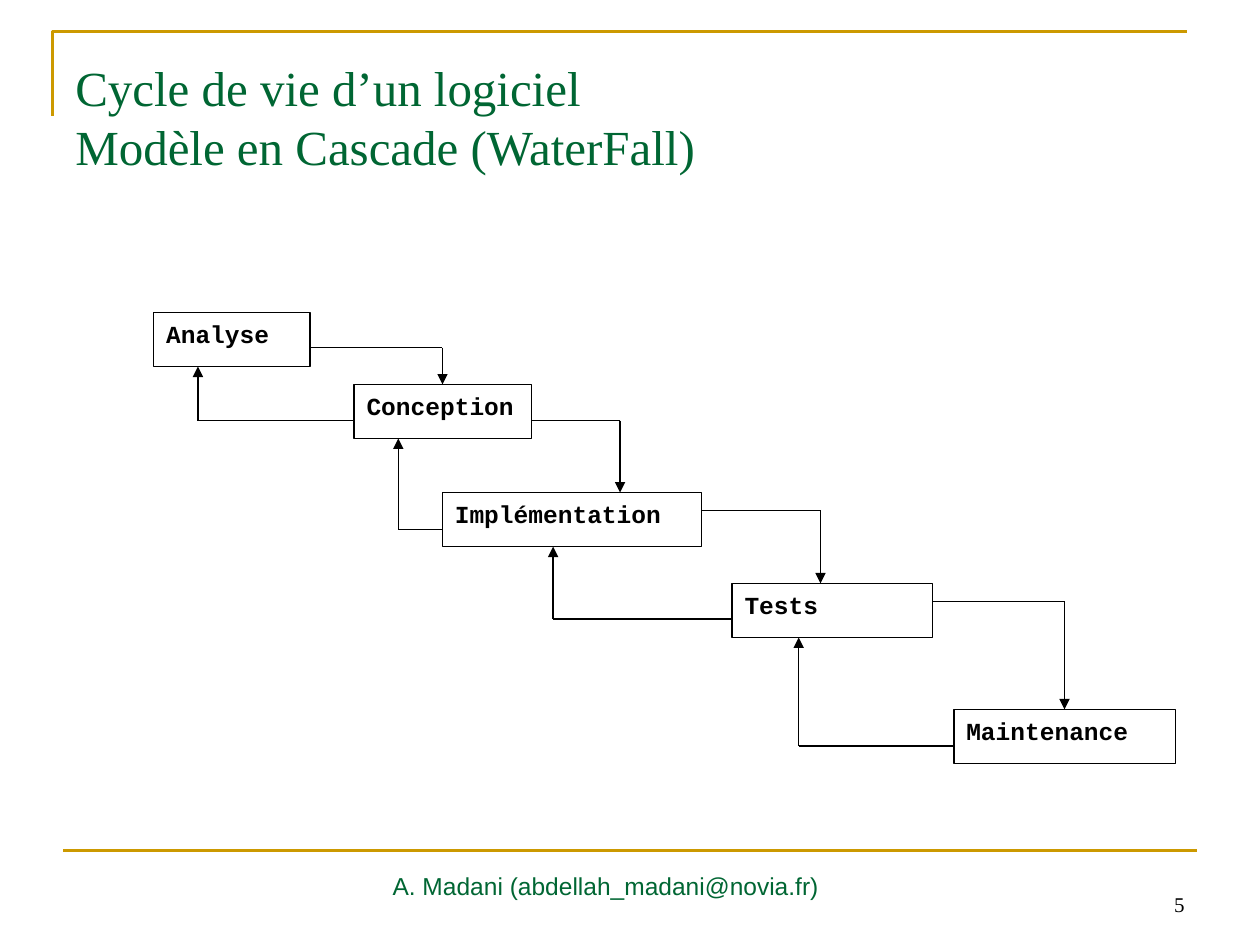
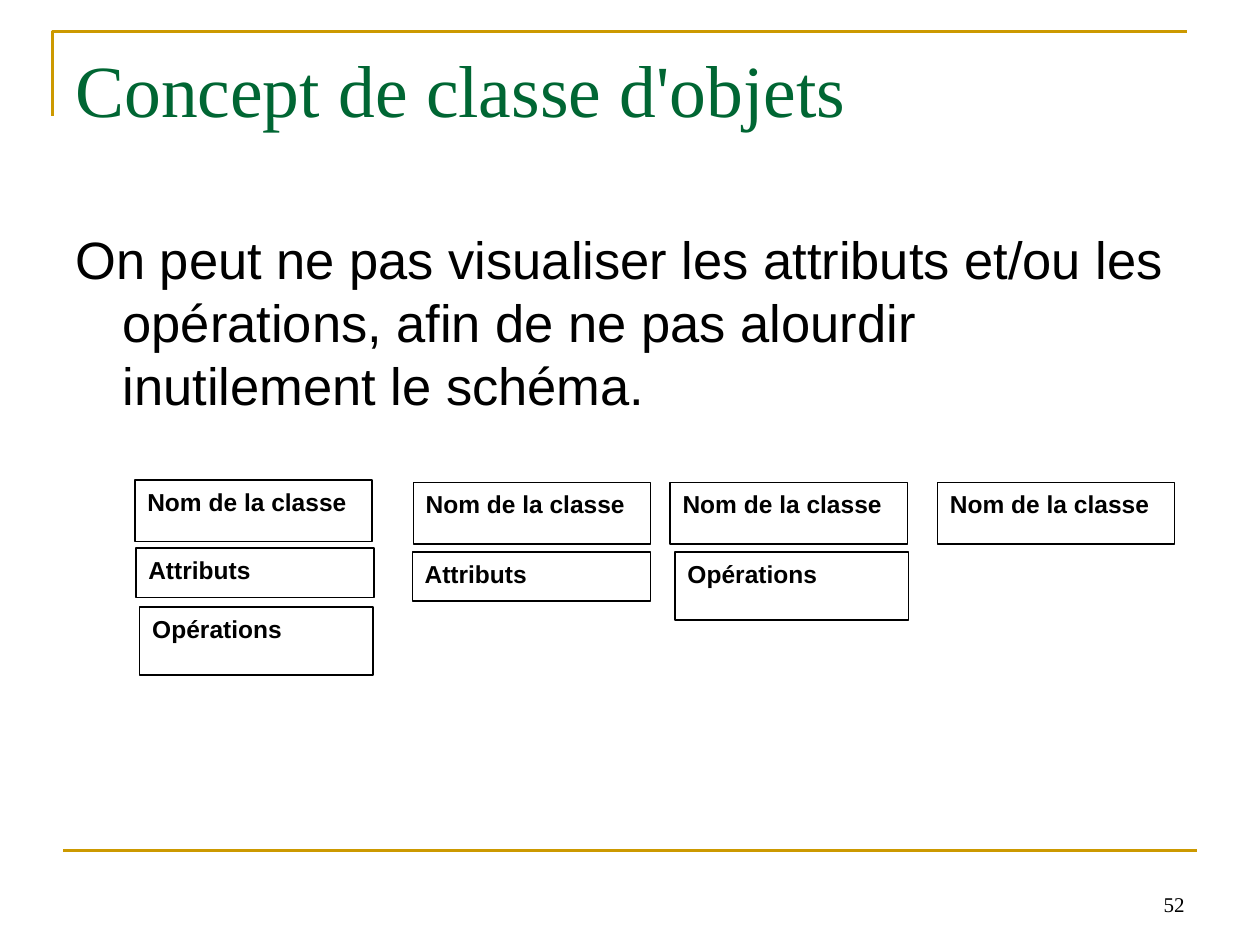
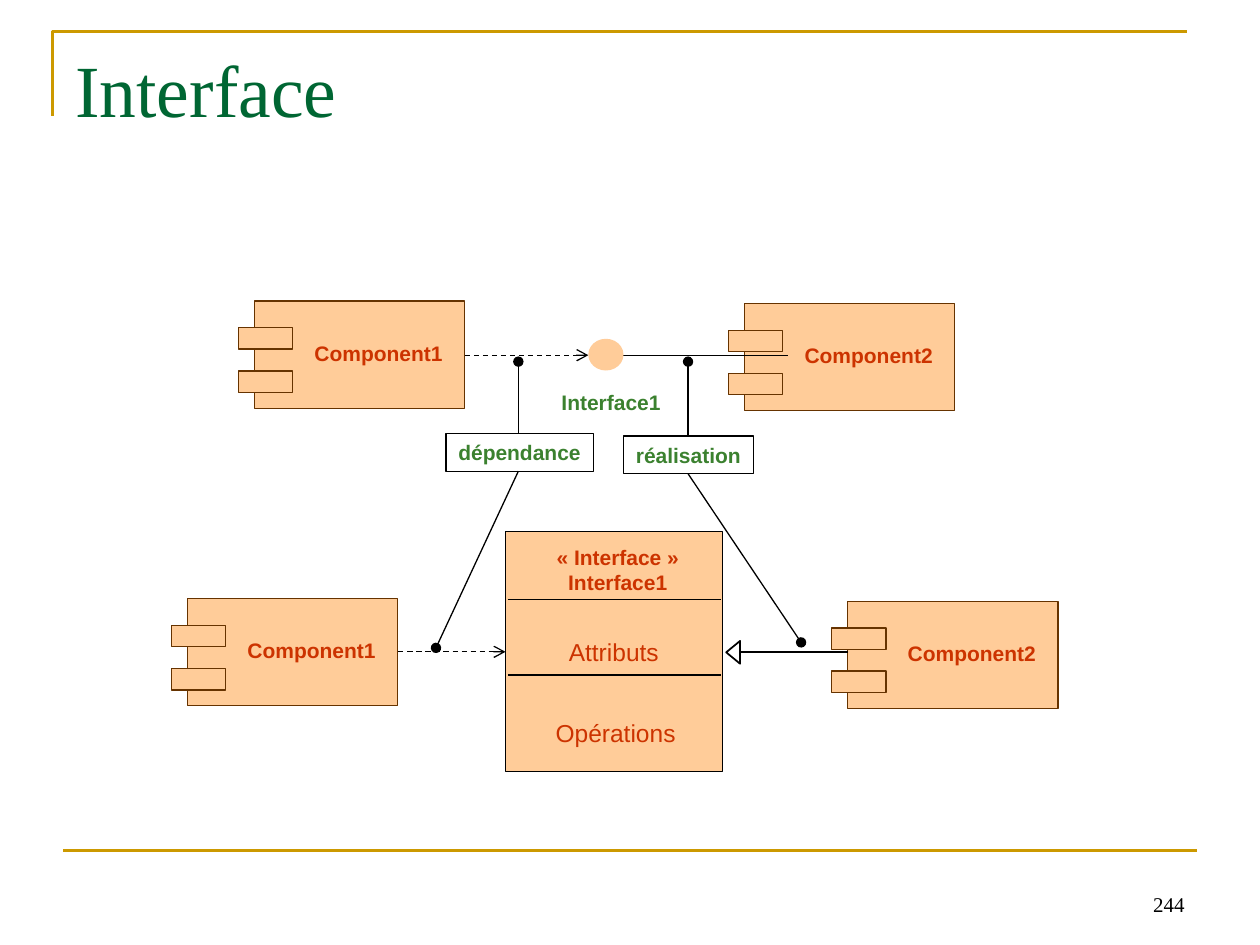
from lxml import etree
from pptx import Presentation
from pptx import util as u
from pptx.dml.color import RGBColor
from pptx.enum import dml, shapes, text
from pptx.oxml.ns import qn

COLORS = {
    "gold": "CC9900", "green": "006633", "black": "000000", "white": "FFFFFF",
    "peach": "FFCC99", "brown": "663300", "rust": "CC3300", "leaf": "3B812F",
}
COLORS = {name: RGBColor.from_string(value) for name, value in COLORS.items()}
RECT = shapes.MSO_SHAPE.RECTANGLE
ALIGN = text.PP_ALIGN
ANCHOR = text.MSO_ANCHOR


def add_box(slide, area, words="", kind=None, fill=None, line=None, weight=0.75, font="Arial",
            size=14, bold=False, color="black", align=ALIGN.LEFT, anchor=ANCHOR.TOP,
            wrap=True, inset=(0.25, 0.13)):
    """Add a preset shape, or a text box when no kind is given; area is in cm."""
    place = [u.Cm(length) for length in area]
    if kind is None:
        box = slide.shapes.add_textbox(*place)
    else:
        box = slide.shapes.add_shape(kind, *place)
        box.shadow.inherit = False
        if fill:
            box.fill.solid()
            box.fill.fore_color.rgb = COLORS[fill]
        else:
            box.fill.background()
        if line:
            box.line.color.rgb = COLORS[line]
            box.line.width = u.Pt(weight)
        else:
            box.line.fill.background()

    side, edge = (u.Cm(length) for length in inset)
    frame_format = {"word_wrap": wrap, "vertical_anchor": anchor, "margin_left": side,
                    "margin_right": side, "margin_top": edge, "margin_bottom": edge}
    for key, value in frame_format.items():
        setattr(box.text_frame, key, value)

    box.text_frame.text = words
    for paragraph in box.text_frame.paragraphs:
        paragraph.alignment = align
        for run in paragraph.runs:
            for key, value in {"name": font, "size": u.Pt(size), "bold": bold}.items():
                setattr(run.font, key, value)
            run.font.color.rgb = COLORS[color]
    return box


def add_line(slide, start, end, color="black", weight=0.75, dashed=False, tip=None):
    """Join two points given in cm, with an optional arrowhead at the end."""
    ends = [u.Cm(length) for length in (*start, *end)]
    joint = slide.shapes.add_connector(shapes.MSO_CONNECTOR.STRAIGHT, *ends)
    joint.line.color.rgb = COLORS[color]
    joint.line.width = u.Pt(weight)
    if dashed:
        joint.line.dash_style = dml.MSO_LINE.DASH
    properties = joint._element.spPr
    if tip:
        etree.SubElement(properties.find(qn("a:ln")), qn("a:tailEnd"), type=tip)
    etree.SubElement(properties, qn("a:effectLst"))


deck = Presentation()
deck.slide_width, deck.slide_height = u.Cm(25.4), u.Cm(19.05)

# Shared frame, title and page number
headings = [
    ("Cycle de vie d’un logiciel\vModèle en Cascade (WaterFall)", 28, ANCHOR.MIDDLE, "5"),
    ("Concept de classe d'objets", 42, ANCHOR.TOP, "52"),
    ("Interface", 42, ANCHOR.TOP, "244"),
]
for title, size, anchor, page in headings:
    slide = deck.slides.add_slide(deck.slide_layouts[6])
    builder = slide.shapes.build_freeform(u.Cm(1.06), u.Cm(2.33))
    builder.add_line_segments([(u.Cm(1.06), u.Cm(0.64)), (u.Cm(23.92), u.Cm(0.64))], close=False)
    corner = builder.convert_to_shape()
    corner.shadow.inherit = False
    corner.fill.background()
    corner.line.color.rgb = COLORS["gold"]
    corner.line.width = u.Pt(1.5)
    add_line(slide, (1.27, 17.15), (24.13, 17.15), "gold", 1.5)
    add_box(slide, (18.21, 17.35, 5.92, 1.27), page, font="Times New Roman", size=12,
            align=ALIGN.RIGHT, anchor=ANCHOR.BOTTOM)
    add_box(slide, (1.27, 0.76, 22.86, 3.18), title, font="Times New Roman", size=size,
            color="green", anchor=anchor)
cascade, classes, interface = deck.slides

# Slide 1: phases of the cascade (name, left, top, width)
phases = [
    ("Analyse", 3.1, 6.3, 3.15),
    ("Conception", 7.14, 7.75, 3.58),
    ("Implémentation", 8.92, 9.93, 5.23),
    ("Tests", 14.76, 11.76, 4.04),
    ("Maintenance", 19.23, 14.3, 4.47),
]
phase_height = 1.09
for name, left, top, width in phases:
    add_box(cascade, (left, top, width, phase_height), name, RECT, "white", "black",
            font="Courier New", bold=True)

# Way down and way back between neighbours (y out, x down, y back, x up)
turns = [
    (7.01, 8.92, 8.48, 3.99),
    (8.48, 12.5, 10.67, 8.03),
    (10.29, 16.54, 12.48, 11.15),
    (12.12, 21.46, 15.04, 16.1),
]
for phase, following, (out_y, down_x, back_y, up_x) in zip(phases, phases[1:], turns):
    _, left, top, width = phase
    _, next_left, next_top, _ = following
    add_line(cascade, (left + width, out_y), (down_x, out_y))
    add_line(cascade, (down_x, out_y), (down_x, next_top), tip="triangle")
    add_line(cascade, (next_left, back_y), (up_x, back_y))
    add_line(cascade, (up_x, back_y), (up_x, top + phase_height), tip="triangle")

add_box(cascade, (1.7, 17.35, 15.06, 1.02), "A. Madani (abdellah_madani@novia.fr)",
        color="green", align=ALIGN.RIGHT, anchor=ANCHOR.MIDDLE)

# Slide 2: statement with a hanging indent
statement = add_box(
    classes, (1.27, 4.45, 22.86, 12.57),
    "On peut ne pas visualiser les attributs et/ou les opérations, "
    "afin de ne pas alourdir inutilement le schéma.", size=30)
indent = u.Cm(0.95)
hanging = statement.text_frame.paragraphs[0]._p.get_or_add_pPr()
for key, value in {"marL": indent, "indent": -indent}.items():
    hanging.set(key, str(value))

# Four ways to show a class
part_sizes = {"Nom de la classe": (4.78, 1.24), "Attributs": (4.8, 0.99), "Opérations": (4.7, 1.37)}
class_parts = [
    ("Nom de la classe", 2.72, 9.68), ("Attributs", 2.74, 11.05), ("Opérations", 2.82, 12.24),
    ("Nom de la classe", 8.33, 9.73), ("Attributs", 8.31, 11.13),
    ("Nom de la classe", 13.51, 9.73), ("Opérations", 13.61, 11.13),
    ("Nom de la classe", 18.9, 9.73),
]
for part, left, top in class_parts:
    add_box(classes, (left, top, *part_sizes[part]), part, RECT, "white", "black", bold=True)

# Slide 3: components with their two tabs
components = [
    ("Component2", 15.01, 6.12), ("Component1", 5.13, 6.07),
    ("Component2", 17.09, 12.12), ("Component1", 3.78, 12.07),
]
for name, left, top in components:
    blocks = [(left, top, 4.24, 2.16)]
    blocks += [(left - 0.32, top + drop, 1.09, 0.43) for drop in (0.54, 1.41)]
    for block in blocks:
        add_box(interface, block, "", RECT, "peach", "brown", weight=0)
    add_box(interface, (left + 1.21, top + 0.79, 2.59, 0.51), name, size=12, bold=True,
            color="rust", wrap=False, inset=(0, 0))

# Short notation: the interface as a circle
add_line(interface, (12.55, 7.16), (15.88, 7.16))
add_line(interface, (9.37, 7.16), (11.86, 7.16), dashed=True, tip="arrow")
add_box(interface, (11.86, 6.83, 0.71, 0.64), "", shapes.MSO_SHAPE.OVAL, "peach")
add_box(interface, (11.07, 7.72, 2.51, 0.76), "Interface1", size=12, bold=True, color="leaf",
        wrap=False)

# Long notation: the interface as a class
add_line(interface, (8.03, 13.14), (10.19, 13.14), dashed=True, tip="arrow")
add_box(interface, (10.19, 10.72, 4.37, 4.83), "Attributs", RECT, "peach", "black",
        color="rust", align=ALIGN.CENTER, anchor=ANCHOR.MIDDLE, wrap=False)
add_box(interface, (10.97, 10.85, 2.97, 1.27), "« Interface »\nInterface1", size=12, bold=True,
        color="rust", align=ALIGN.CENTER, wrap=False)
for divider_y in (12.09, 13.61):
    add_line(interface, (10.24, divider_y), (14.53, divider_y))
add_box(interface, (10.95, 14.35, 3.3, 0.86), "Opérations", color="rust")

# Relation names pointing at both notations
relations = [
    ("dépendance", 8.99, 8.74, 2.97, 10.45, (8.79, 13.06)),
    ("réalisation", 12.57, 8.79, 2.62, 13.87, (16.15, 12.95)),
]
for relation, left, top, width, stem_x, lower_end in relations:
    add_box(interface, (left, top, width, 0.76), relation, RECT, line="black", size=12,
            bold=True, color="leaf", wrap=False)
    add_line(interface, (stem_x, top), (stem_x, 7.29), tip="oval")
    add_line(interface, (stem_x, top + 0.76), lower_end, tip="oval")

# Hollow arrow of the realisation
arrow_tip = add_box(interface, (14.55, 13.01, 0.46, 0.28), "",
                    shapes.MSO_SHAPE.ISOSCELES_TRIANGLE, line="black", weight=1)
arrow_tip.rotation = 270
add_line(interface, (14.94, 13.15), (17.09, 13.15), weight=1)

deck.save("out.pptx")
